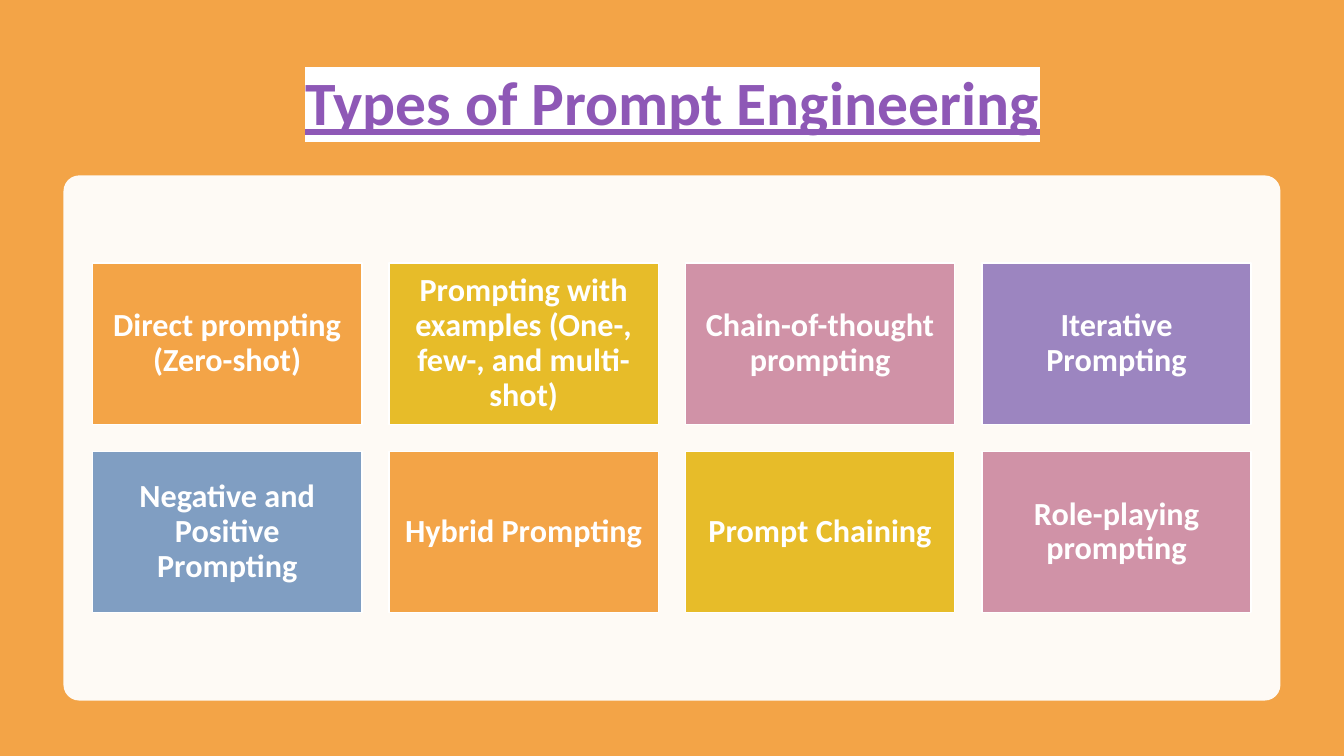
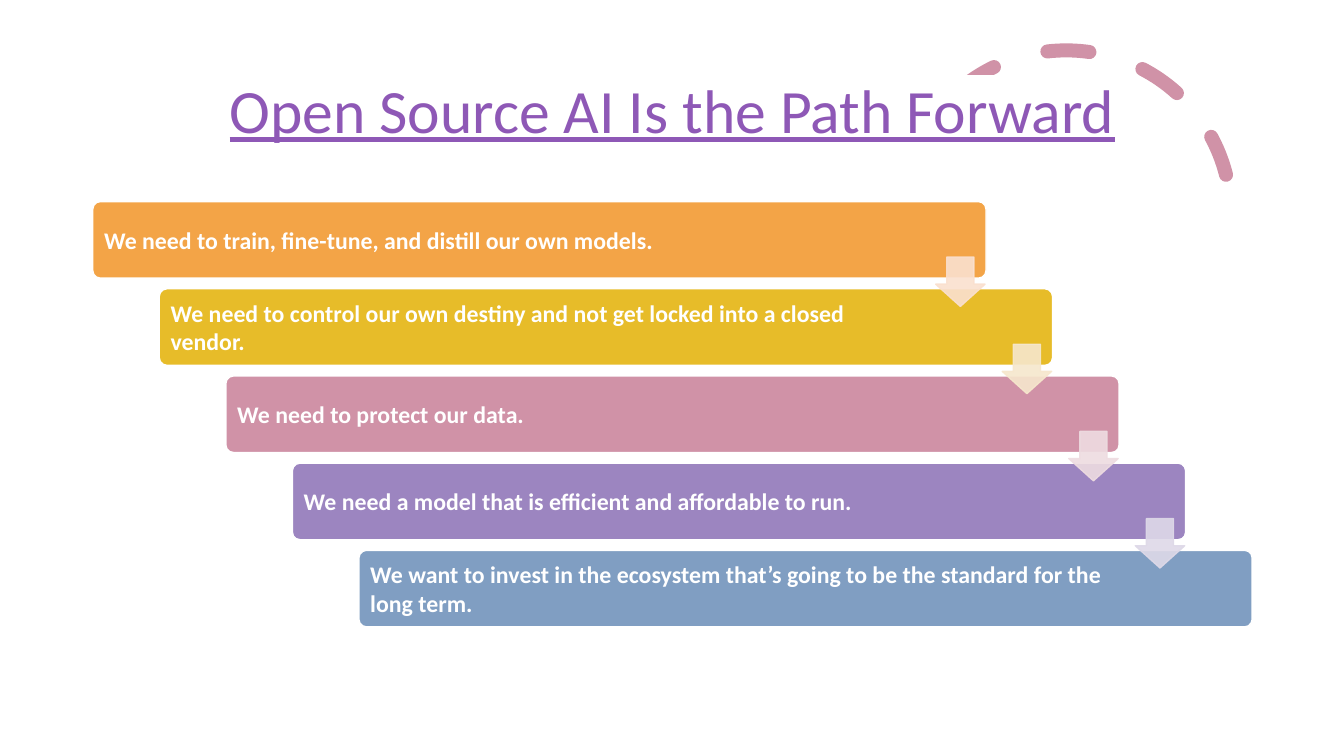
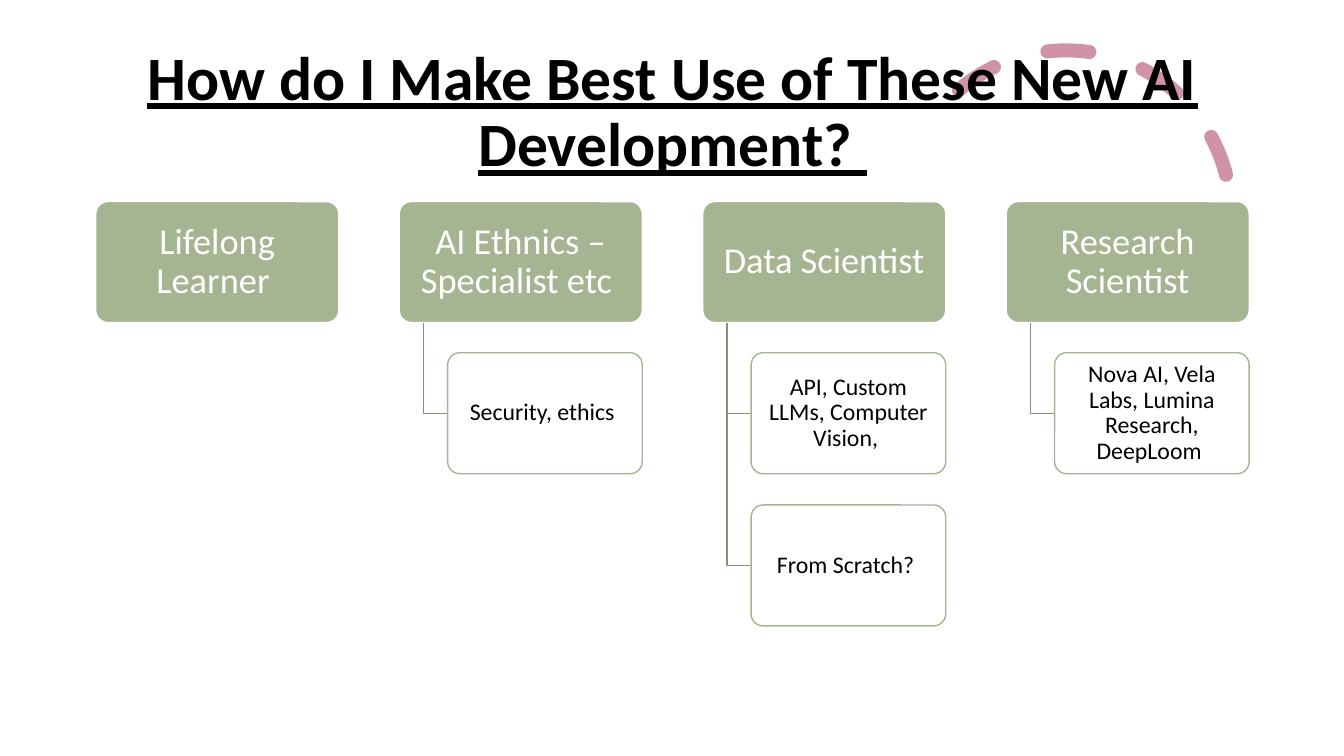
from itertools import cycle

from lxml import etree
from pptx import Presentation
from pptx.dml.color import RGBColor
from pptx.enum.dml import MSO_LINE
from pptx.enum.shapes import MSO_SHAPE as Shape
from pptx.enum.text import MSO_ANCHOR as Anchor, PP_ALIGN as Align
from pptx.oxml.ns import qn
from pptx.util import Inches, Pt

WHITE, BLACK, VIOLET = "FFFFFF", "000000", "8E58B6"
ORANGE, PINK = "F3A447", "D092A7"
PALETTE = [ORANGE, "E7BC29", PINK, "9C85C0", "809EC2"]
GREEN, BRANCH_GREEN = "A5B592", "849175"
FONT = "Calibri"


def rgb(value):
    """Turn a hex string into a colour."""
    return RGBColor.from_string(value)


def assign(target, values):
    """Set every attribute named in values on target."""
    for name, value in values.items():
        setattr(target, name, value)


class Deck:
    """Hold the shared style and the current slide."""

    def __init__(self):
        """Start a widescreen presentation."""
        self.show = Presentation()
        assign(self.show, {"slide_width": Inches(13.33), "slide_height": Inches(7.5)})
        self.slide = None

    def page(self, background=WHITE):
        """Add a blank slide with a plain background."""
        self.slide = self.show.slides.add_slide(self.show.slide_layouts[6])
        fill = self.slide.background.fill
        fill.solid()
        fill.fore_color.rgb = rgb(background)

    def label(self, shape, words, margins, color=WHITE, align=Align.CENTER, spacing=0.9, **font):
        """Put one formatted paragraph into a shape and return its run."""
        frame = shape.text_frame
        sides = ("margin_left", "margin_top", "margin_right", "margin_bottom")
        assign(frame, {"word_wrap": True, "vertical_anchor": Anchor.MIDDLE})
        assign(frame, {side: Inches(gap) for side, gap in zip(sides, margins)})
        paragraph = frame.paragraphs[0]
        assign(paragraph, {"alignment": align, "line_spacing": spacing})
        run = paragraph.add_run()
        run.text = words
        assign(run.font, {"name": FONT, **font})
        run.font.color.rgb = rgb(color)
        return run

    def title(self, words, top, height, color=VIOLET, highlight=None, bold=False):
        """Add the underlined slide title, optionally highlighted."""
        box = self.slide.shapes.add_textbox(*map(Inches, (0.92, top, 11.5, height)))
        run = self.label(box, words, (0.1, 0.05, 0.1, 0.05), color,
                         size=Pt(44), bold=bold, underline=True)
        if highlight:
            mark = etree.Element(qn("a:highlight"))
            etree.SubElement(mark, qn("a:srgbClr"), val=highlight)
            run.font._element.find(qn("a:solidFill")).addnext(mark)

    def block(self, kind, place, fill, line=None, adjust=(), opacity=100):
        """Add a filled preset shape; opacity applies to its fill colour."""
        shape = self.slide.shapes.add_shape(kind, *map(Inches, place))
        shape.shadow.inherit = False
        for index, value in enumerate(adjust):
            shape.adjustments[index] = value
        shape.fill.solid()
        shape.fill.fore_color.rgb = rgb(fill)
        self.outline(shape, line)
        if opacity < 100:
            for color in shape._element.spPr.iter(qn("a:srgbClr")):
                if color.get("val") == fill:
                    etree.SubElement(color, qn("a:alpha"), val=str(opacity * 1000))
        return shape

    def outline(self, shape, color, width=1):
        """Give a shape a line of one colour, or none."""
        if color:
            shape.line.color.rgb = rgb(color)
            shape.line.width = Pt(width)
        else:
            shape.line.fill.background()

    def dashed_arc(self):
        """Add the dashed arc in the upper right corner."""
        arc = self.slide.shapes.add_shape(Shape.ARC, *map(Inches, (8.94, 0.5, 3.27, 3.27)))
        arc.shadow.inherit = False
        arc.adjustments[0], arc.adjustments[1] = 146.13, 0
        arc.rotation = 345.8
        arc.fill.background()
        self.outline(arc, PINK, 10)
        arc.line.dash_style = MSO_LINE.DASH
        arc._element.spPr.find(qn("a:ln")).set("cap", "rnd")

    def branch(self, left, top, right, bottom):
        """Draw an angled line down and then right."""
        pen = self.slide.shapes.build_freeform(Inches(left), Inches(top))
        corners = [(left, bottom), (right, bottom)]
        pen.add_line_segments([tuple(map(Inches, corner)) for corner in corners], close=False)
        line = pen.convert_to_shape()
        line.shadow.inherit = False
        line.fill.background()
        self.outline(line, BRANCH_GREEN)


def types_slide(deck):
    """Show the prompt types as a grid of tiles."""
    types = ["Direct prompting (Zero-shot)",
             "Prompting with examples (One-, few-, and multi-shot)",
             "Chain-of-thought prompting", "Iterative Prompting",
             "Negative and Positive Prompting", "Hybrid Prompting",
             "Prompt Chaining", "Role-playing prompting"]
    deck.page(ORANGE)
    deck.title("Types of Prompt Engineering", 0.5, 1.1, highlight=WHITE, bold=True)
    deck.block(Shape.ROUNDED_RECTANGLE, (0.63, 1.74, 12.07, 5.21), WHITE,
               adjust=[0.03], opacity=95)
    for index, (name, color) in enumerate(zip(types, cycle(PALETTE))):
        row, column = divmod(index, 4)
        place = (0.92 + 2.94 * column, 2.61 + 1.87 * row, 2.67, 1.6)
        tile = deck.block(Shape.RECTANGLE, place, color, WHITE)
        deck.label(tile, name, (0.1,) * 4, size=Pt(23), bold=True)


def reasons_slide(deck):
    """Show the reasons as a staircase joined by arrows."""
    reasons = ["We need to train, fine-tune, and distill our own models.",
               "We need to control our own destiny and not get locked into a closed vendor.",
               "We need to protect our data.",
               "We need a model that is efficient and affordable to run.",
               "We want to invest in the ecosystem that’s going to be the standard for the long term."]
    arrow_tints = ["FAE0CF", "F6E7CD", "EEDCE1", "DED9E8"]
    width, height, shift = 8.86, 0.76, 0.66
    drop = (6.22 - 2 - height) / (len(reasons) - 1)
    deck.page()
    deck.dashed_arc()
    deck.title("Open Source AI Is the Path Forward", 0.4, 1.45, highlight=WHITE)
    for step, (reason, color) in enumerate(zip(reasons, PALETTE)):
        place = (0.92 + shift * step, 2 + drop * step, width, height)
        bar = deck.block(Shape.ROUNDED_RECTANGLE, place, color, WHITE, [0.1])
        deck.label(bar, reason, (0.09, 0.09, 1.27, 0.09), align=Align.LEFT, spacing=1.0,
                   size=Pt(17), bold=True)
    for step, tint in enumerate(arrow_tints):
        place = (9.28 + shift * step, 2.55 + drop * step, 0.49, 0.49)
        deck.block(Shape.DOWN_ARROW, place, tint, tint, [0.55, 0.45], 90)


def roles_slide(deck):
    """Show the roles as columns with their topics below."""
    roles = {"Lifelong Learner ": [],
             "AI Ethnics – Specialist etc ": ["Security, ethics "],
             "Data Scientist": ["API, Custom LLMs, Computer Vision, ", "From Scratch? "],
             "Research Scientist": ["Nova AI, Vela Labs, Lumina Research, DeepLoom "]}
    top, height = 2, 1.2
    deck.page()
    deck.dashed_arc()
    deck.title("How do I Make Best Use of These New AI Development? ", 0.4, 1.45, BLACK, bold=True)
    for column, (role, topics) in enumerate(roles.items()):
        left = 0.95 + 3.01 * column
        head = deck.block(Shape.ROUNDED_RECTANGLE, (left, top, 2.41, height), GREEN, WHITE, [0.1])
        deck.label(head, role, (0.08,) * 4, size=Pt(26))
        for row, topic in enumerate(topics):
            card_left, card_top = left + 0.48, 3.5 + 1.51 * row
            deck.branch(left + 0.24, top + height, card_left, card_top + height / 2)
            card = deck.block(Shape.ROUNDED_RECTANGLE, (card_left, card_top, 1.93, height),
                              WHITE, GREEN, [0.1], 90)
            deck.label(card, topic, (0.06,) * 4, BLACK, size=Pt(17))


def main():
    """Build the three slides and save them."""
    deck = Deck()
    for build in (types_slide, reasons_slide, roles_slide):
        build(deck)
    deck.show.save("out.pptx")


if __name__ == "__main__":
    main()
